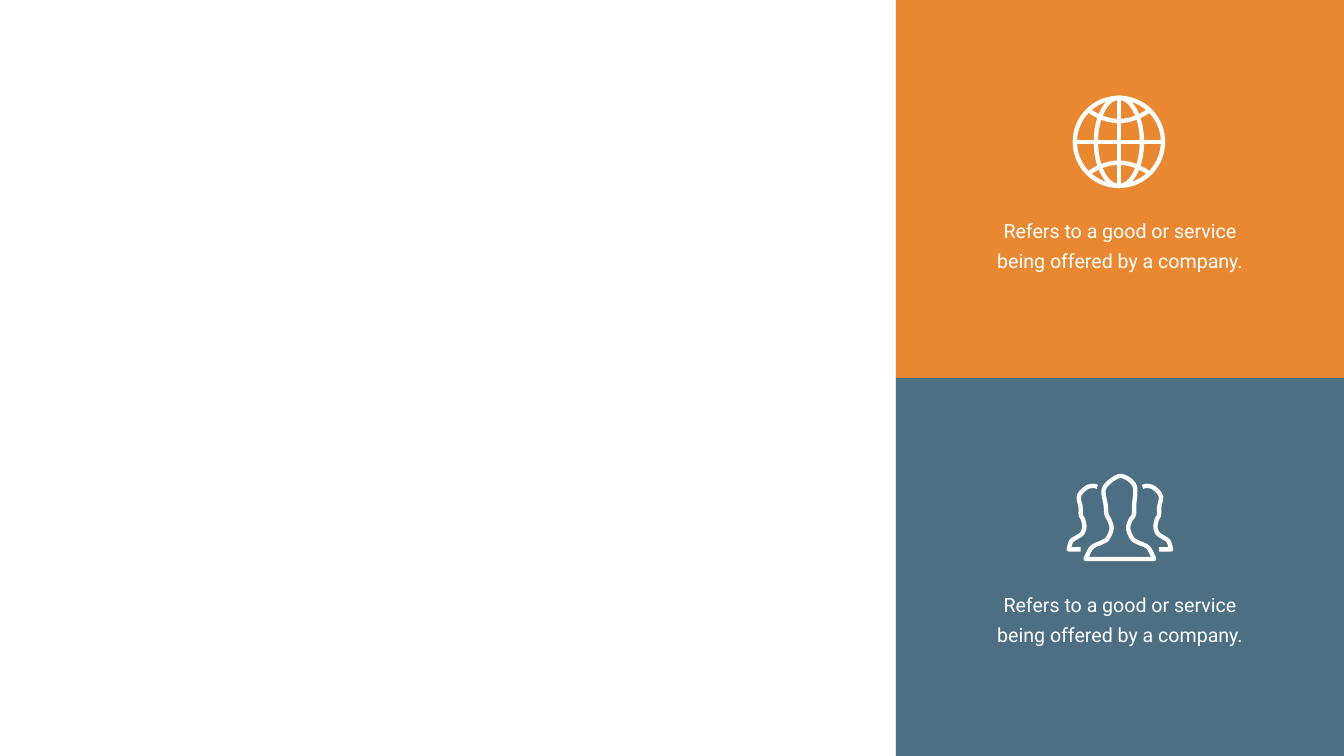
from math import cos, pi, sin
from lxml import etree
from pptx import Presentation
from pptx.dml.color import RGBColor
from pptx.enum.shapes import MSO_SHAPE
from pptx.enum.text import MSO_ANCHOR, PP_ALIGN
from pptx.oxml.ns import qn
from pptx.util import Cm, Pt

RECT = MSO_SHAPE.RECTANGLE
TOP = MSO_ANCHOR.TOP
CENTER = PP_ALIGN.CENTER

HUES = {"orange": "EA8831", "slate": "4D6F84", "white": "FFFFFF"}
WIDE, HIGH = 67.72, 38.1
LEFT = 45.14
TEXT_W, TEXT_H = 13.84, 3.53
STROKE = 6.2

NOTE = "Refers to a good or service being offered by a company."

HEAD = [
    (-1.73, 4.29), (-1.42, 3.71), (-0.94, 3.47), (-0.63, 3.27), (-0.42, 2.77),
    (-0.52, 2.35), (-0.67, 2.06), (-0.72, 1.55), (-0.81, 0.77), (-0.32, 0.25),
    (0.17, 0.13), (0.74, 0.61), (0.72, 1.57), (0.7, 2.06), (0.52, 2.35),
    (0.42, 2.77), (0.63, 3.27), (0.94, 3.47), (1.42, 3.71), (1.73, 4.29),
]
SIDE = [
    (1.14, 0.66), (1.36, 0.61), (1.71, 0.71), (2.06, 1.12), (1.98, 1.68),
    (1.97, 2.08), (1.86, 2.3), (1.79, 2.67), (1.9, 3.0), (2.16, 3.19),
    (2.45, 3.4), (2.58, 3.81),
]
FOOT = (1.98, 3.81)


def color(name):
    return RGBColor.from_string(HUES[name])


def curve(knots, steps=8):
    ends = [knots[0]] + knots + [knots[-1]]
    dots = [knots[0]]
    for a, b, c, d in zip(ends, ends[1:], ends[2:], ends[3:]):
        for n in range(1, steps + 1):
            t = n / steps
            dots.append(tuple(
                (2 * q + (r - p) * t + (2 * p - 5 * q + 4 * r - s) * t ** 2
                 + (3 * q - p - 3 * r + s) * t ** 3) / 2
                for p, q, r, s in zip(a, b, c, d)))
    return dots


def ring(wide, high, steps=72):
    turns = [2 * pi * n / steps for n in range(steps)]
    return [(wide * cos(t), high * sin(t)) for t in turns]


def bow(side, half=1.46, steps=20):
    spans = [2 * n / steps - 1 for n in range(steps + 1)]
    return [(half * s, side * (1.05 + 0.49 * s * s)) for s in spans]


def globe(size=2.22):
    return [
        (ring(size, size), True), (ring(1.16, size), True),
        ([(-size, 0), (size, 0)], False), ([(0, -size), (0, size)], False),
        (bow(-1), False), (bow(1), False),
    ]


def crowd():
    right = curve(SIDE) + [FOOT]
    left = [(-x, y) for x, y in right]
    return [(curve(HEAD), True), (right, False), (left, False)]


def icon(slide, strokes, x, y):
    pen = None
    for dots, shut in strokes:
        spots = [(Cm(x + dx), Cm(y + dy)) for dx, dy in dots]
        if pen is None:
            pen = slide.shapes.build_freeform(*spots[0], scale=1.0)
        else:
            pen.move_to(*spots[0])
        pen.add_line_segments(spots[1:], close=shut)
    shape = pen.convert_to_shape()
    shape.shadow.inherit = False
    shape.fill.background()
    shape.line.color.rgb = color("white")
    shape.line.width = Pt(STROKE)
    etree.SubElement(shape.element.spPr.find(qn("a:ln")), qn("a:round"))


def panel(slide, hue, y):
    shape = slide.shapes.add_shape(
        RECT, Cm(LEFT), Cm(y), Cm(WIDE - LEFT), Cm(HIGH / 2))
    shape.shadow.inherit = False
    shape.fill.solid()
    shape.fill.fore_color.rgb = color(hue)
    shape.line.fill.background()


def write(slide, text, x, y, wide, high, size=28, font="Roboto",
          hue="white", lead=43):
    frame = slide.shapes.add_textbox(
        Cm(x), Cm(y), Cm(wide), Cm(high)).text_frame
    frame.word_wrap = True
    frame.vertical_anchor = TOP
    frame.margin_left = frame.margin_right = Cm(0.61)
    frame.margin_top = frame.margin_bottom = Cm(0.3)
    para = frame.paragraphs[0]
    para.text = text
    para.alignment = CENTER
    para.line_spacing = Pt(lead)
    para.font.size = Pt(size)
    para.font.name = font
    para.font.color.rgb = color(hue)


PANELS = [
    ("orange", globe(), 56.38, 7.15, 10.41),
    ("slate", crowd(), 56.43, 23.88, 29.26),
]


def main():
    deck = Presentation()
    deck.slide_width, deck.slide_height = Cm(WIDE), Cm(HIGH)
    slide = deck.slides.add_slide(deck.slide_layouts[6])
    mid = (LEFT + WIDE) / 2
    for n, (hue, strokes, x, y, base) in enumerate(PANELS):
        panel(slide, hue, n * HIGH / 2)
        icon(slide, strokes, x, y)
        write(slide, NOTE, mid - TEXT_W / 2, base, TEXT_W, TEXT_H)
    deck.save("out.pptx")


if __name__ == "__main__":
    main()
